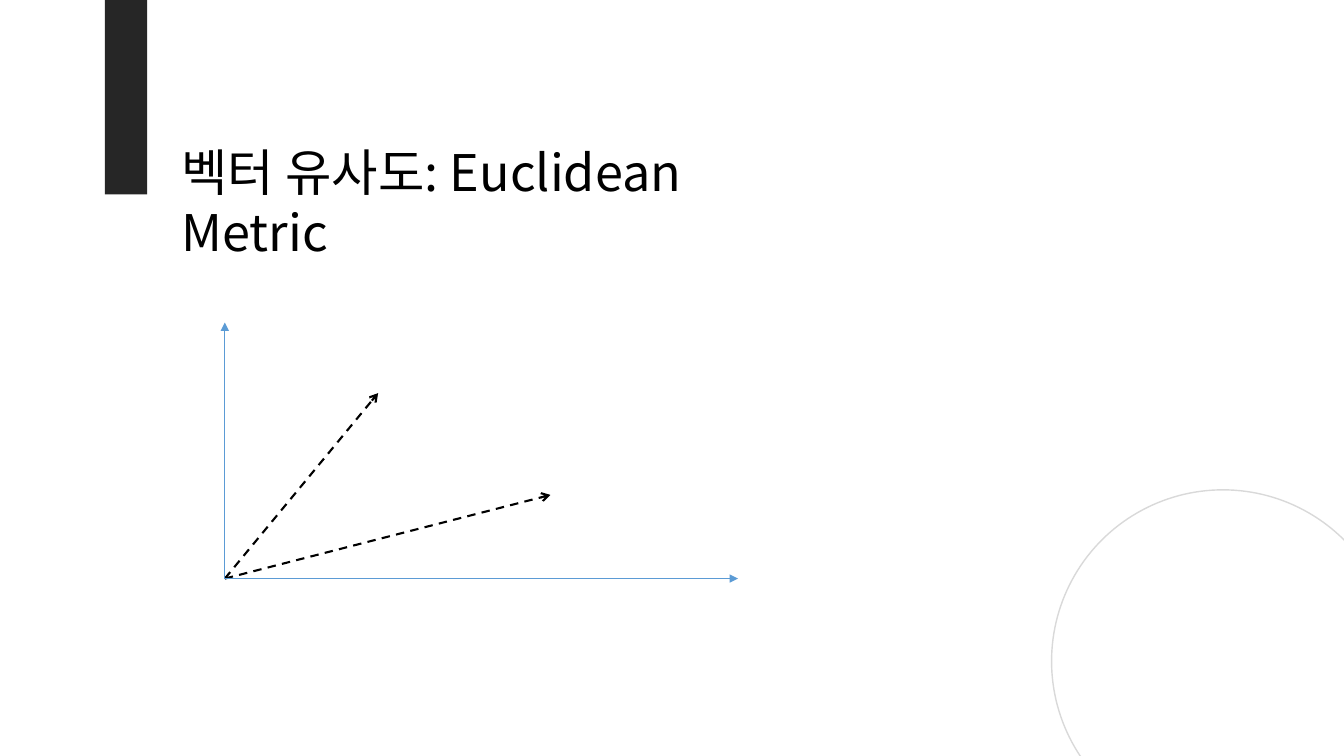
from dataclasses import dataclass

from lxml import etree
from pptx import Presentation
from pptx.dml.color import RGBColor
from pptx.enum.dml import MSO_LINE
from pptx.enum.shapes import MSO_CONNECTOR, MSO_SHAPE
from pptx.enum.text import MSO_AUTO_SIZE
from pptx.oxml.ns import qn
from pptx.util import Inches, Pt

RECT, OVAL = MSO_SHAPE.RECTANGLE, MSO_SHAPE.OVAL
STRAIGHT, DASH = MSO_CONNECTOR.STRAIGHT, MSO_LINE.DASH
GROW = MSO_AUTO_SIZE.SHAPE_TO_FIT_TEXT
WIDTH, HEIGHT = 13.33, 7.5
COLUMNS, ROWS = WIDTH, HEIGHT  # grid of one-inch columns and rows


@dataclass(frozen=True)
class Theme:
    font: str = "Noto Sans CJK JP"
    title_size: float = 36
    ink: str = "000000"
    bar: str = "262626"
    ring: str = "D9D9D9"
    axis: str = "5B9BD5"
    ring_width: float = 1
    axis_width: float = 0.5
    vector_width: float = 1.5


class SlideBuilder:
    def __init__(self, prs, theme):
        self.prs, self.theme = prs, theme
        self.s = prs.slides.add_slide(prs.slide_layouts[6])

    def grid(self, *lengths):
        """Turn alternating column and row lengths into slide units."""
        units = (self.prs.slide_width / COLUMNS, self.prs.slide_height / ROWS)
        return [round(n * units[i % 2]) for i, n in enumerate(lengths)]

    def shape(self, kind, box, fill=None, line=None, width=None):
        sp = self.s.shapes.add_shape(kind, *self.grid(*box))
        sp.shadow.inherit = False
        if fill:
            sp.fill.solid()
            sp.fill.fore_color.rgb = RGBColor.from_string(fill)
        else:
            sp.fill.background()
        if line:
            sp.line.color.rgb = RGBColor.from_string(line)
            sp.line.width = Pt(width)
        else:
            sp.line.fill.background()

    def title(self, text, box):
        tf = self.s.shapes.add_textbox(*self.grid(*box)).text_frame
        tf.word_wrap = True
        tf.auto_size = GROW
        p = tf.paragraphs[0]
        p.text = text
        p.font.name, p.font.size = self.theme.font, Pt(self.theme.title_size)
        p.font.color.rgb = RGBColor.from_string(self.theme.ink)
        r_pr = p.runs[0].font._element
        etree.SubElement(r_pr, qn("a:ea"), typeface=self.theme.font)

    def arrow(self, start, end, color, width, head, dash=None):
        line = self.s.shapes.add_connector(STRAIGHT, *self.grid(*start, *end))
        line.line.color.rgb = RGBColor.from_string(color)
        line.line.width = Pt(width)
        if dash:
            line.line.dash_style = dash
        etree.SubElement(line.line._get_or_add_ln(), qn("a:tailEnd"), type=head)
        etree.SubElement(line._element.spPr, qn("a:effectLst"))


def main():
    prs = Presentation()
    prs.slide_width, prs.slide_height = Inches(WIDTH), Inches(HEIGHT)
    theme = Theme()
    slide = SlideBuilder(prs, theme)

    slide.shape(OVAL, (10.43, 4.86, 3.4, 3.4), line=theme.ring, width=theme.ring_width)
    slide.shape(RECT, (1.04, 0, 0.42, 1.93), fill=theme.bar)
    slide.title("벡터 유사도: Euclidean Metric", (1.7, 1.35, 6.24, 0.71))

    origin = x0, y0 = 2.23, 5.74
    for tip in ((5.46, 4.91), (3.75, 3.9)):
        slide.arrow(origin, tip, theme.ink, theme.vector_width, "arrow", DASH)
    for tip in ((7.32, y0), (x0, 3.2)):
        slide.arrow(origin, tip, theme.axis, theme.axis_width, "triangle")

    prs.save("out.pptx")


if __name__ == "__main__":
    main()
